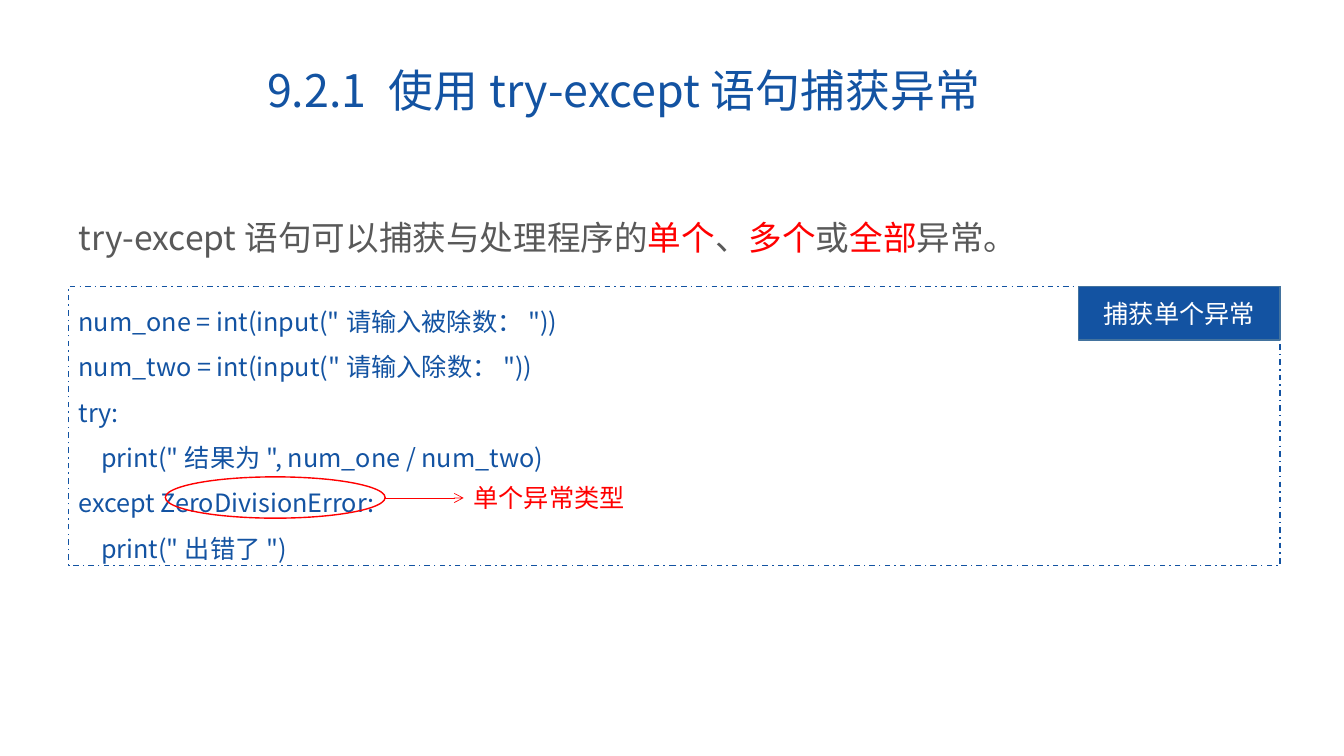
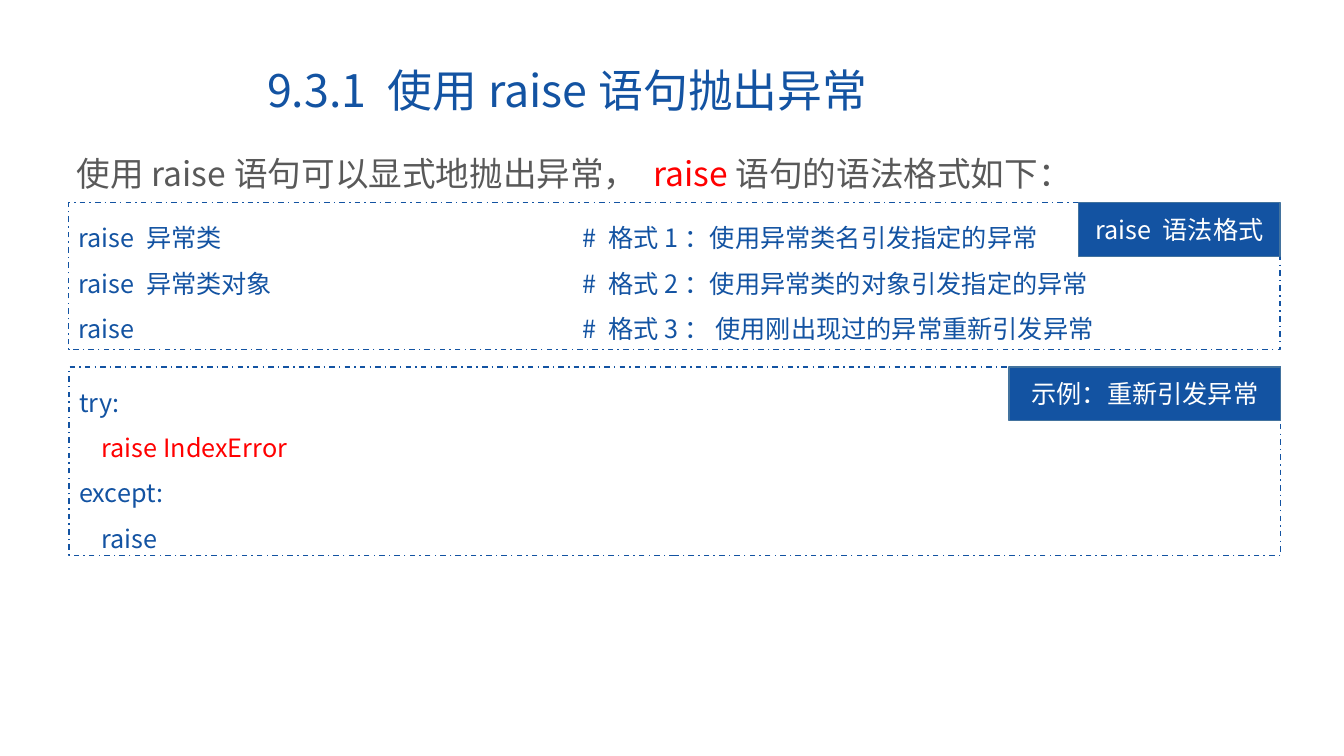
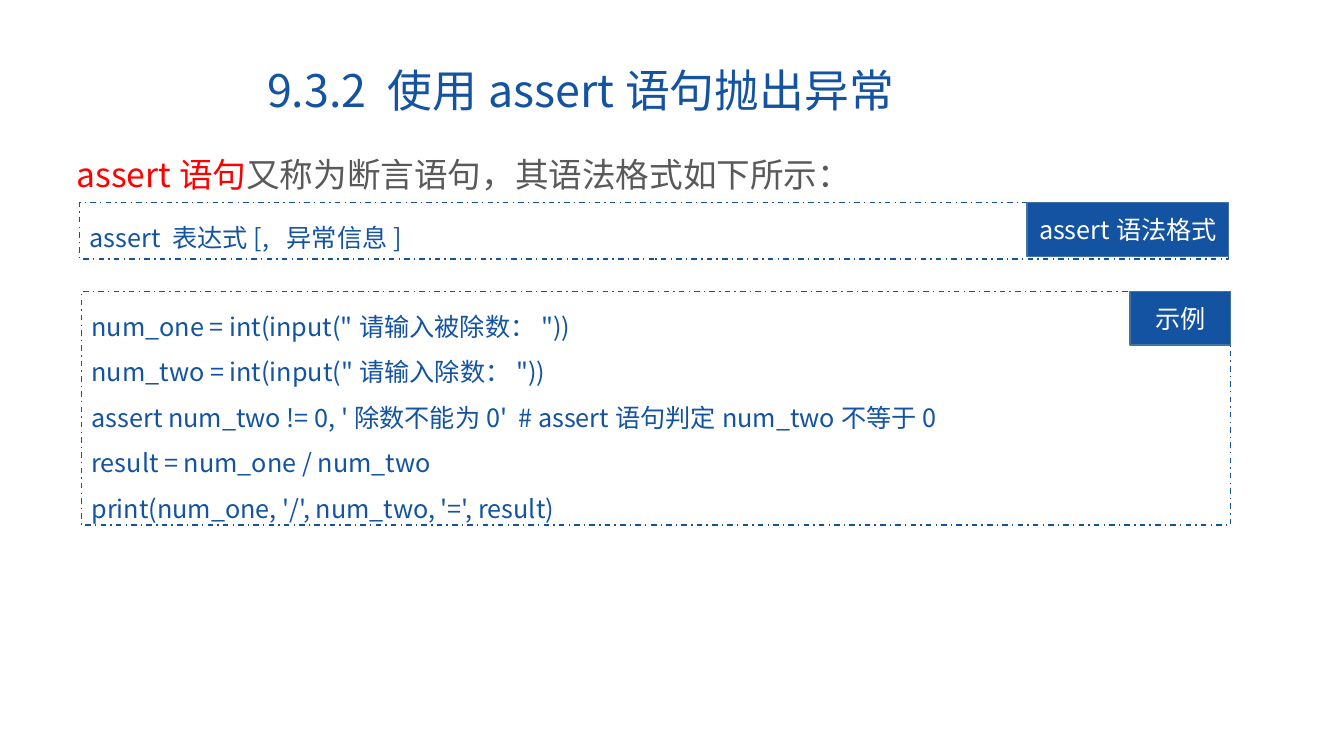
from dataclasses import dataclass

from lxml import etree
from pptx import Presentation
from pptx.dml.color import RGBColor
from pptx.enum.dml import MSO_LINE
from pptx.enum.shapes import MSO_CONNECTOR, MSO_SHAPE
from pptx.enum.text import MSO_ANCHOR, MSO_AUTO_SIZE, PP_ALIGN
from pptx.oxml.ns import qn
from pptx.util import Pt

RECT, OVAL = MSO_SHAPE.RECTANGLE, MSO_SHAPE.OVAL
STRAIGHT = MSO_CONNECTOR.STRAIGHT
DASH = MSO_LINE.DASH_DOT
TOP, MIDDLE = MSO_ANCHOR.TOP, MSO_ANCHOR.MIDDLE
LEFT, CENTER = PP_ALIGN.LEFT, PP_ALIGN.CENTER
GROW, FIXED = MSO_AUTO_SIZE.SHAPE_TO_FIT_TEXT, MSO_AUTO_SIZE.NONE


@dataclass(frozen=True)
class Theme:
    """Colours, font and type sizes of the deck."""
    blue: str = "1353A2"
    edge: str = "43739E"
    grey: str = "595959"
    red: str = "FF0000"
    white: str = "FFFFFF"
    font: str = "Noto Sans CJK SC"
    head: int = 32
    lead: int = 24
    code: int = 18


THEME = Theme()


def pts(*nums):
    """Turn numbers into point lengths."""
    return [Pt(num) for num in nums]


def rgb(code):
    """Turn a hex code into a colour."""
    return RGBColor.from_string(code)


def write(shape, text, size=THEME.code, color=THEME.blue, align=LEFT,
          anchor=TOP, space=1.0, fit=GROW, stop=None):
    """Fill a shape with lines of text, parts between bars in red."""
    frame = shape.text_frame
    frame.word_wrap = True
    frame.auto_size = fit
    frame.vertical_anchor = anchor
    for row, line in enumerate(text.split("\n")):
        para = frame.add_paragraph() if row else frame.paragraphs[0]
        para.alignment = align
        para.line_spacing = space
        if stop:
            tabs = etree.SubElement(para._p.get_or_add_pPr(), qn("a:tabLst"))
            etree.SubElement(tabs, qn("a:tab"), pos=str(Pt(stop)), algn="l")
        for turn, part in enumerate(line.split("|")):
            if part:
                run = para.add_run()
                run.text = part
                run.font.size = Pt(size)
                run.font.name = THEME.font
                run.font.color.rgb = rgb(THEME.red if turn % 2 else color)
                etree.SubElement(run._r.get_or_add_rPr(), qn("a:ea"),
                                 typeface=THEME.font)


def draw(shapes, kind, box, line, fill=None, dash=None):
    """Add a preset shape with a thin outline."""
    shape = shapes.add_shape(kind, *pts(*box))
    shape.shadow.inherit = False
    if fill:
        shape.fill.solid()
        shape.fill.fore_color.rgb = rgb(fill)
    else:
        shape.fill.background()
    shape.line.color.rgb = rgb(line)
    shape.line.width = Pt(1)
    if dash:
        shape.line.dash_style = dash
    return shape


def label(slide, text, box, **style):
    """Add a text box."""
    shape = slide.shapes.add_textbox(*pts(*box))
    write(shape, text, **style)
    return shape


def panel(slide, text, tag, box, wide=144, stop=None):
    """Add a dashed code panel with a tag in its top right corner."""
    left, top, width, _ = box
    shapes = slide.shapes.add_group_shape().shapes
    write(draw(shapes, RECT, box, THEME.blue, dash=DASH), text,
          space=1.5, stop=stop)
    place = (left + width - wide, top, wide, 38.4)
    write(draw(shapes, RECT, place, THEME.edge, fill=THEME.blue), tag,
          color=THEME.white, align=CENTER, anchor=MIDDLE, fit=FIXED)


def arrow(slide, start, goal):
    """Draw a red arrow from a point to the left side of a shape."""
    link = slide.shapes.add_connector(STRAIGHT, *pts(*start, *start))
    link.end_connect(goal, 1)
    link.line.color.rgb = rgb(THEME.red)
    link.line.width = Pt(0.5)
    props = link._element.spPr
    etree.SubElement(props.find(qn("a:ln")), qn("a:tailEnd"), type="arrow")
    etree.SubElement(props, qn("a:effectLst"))


def page(deck, title, lead, left, top):
    """Add a slide with its title and lead sentence."""
    slide = deck.slides.add_slide(deck.slide_layouts[5])
    write(slide.shapes.title, title, size=THEME.head, anchor=MIDDLE, space=0.9)
    label(slide, lead, (left, top, 865, 46), size=THEME.lead,
          color=THEME.grey, space=1.5)
    return slide


def catch(deck):
    """Build the try-except slide."""
    slide = page(deck, "9.2.1\t 使用try-except语句捕获异常",
                 "try-except语句可以捕获与处理程序的|单个|、|多个|或|全部|异常。",
                 49, 136.8)
    panel(slide, 'num_one = int(input("请输入被除数："))\n'
                 'num_two = int(input("请输入除数："))\n'
                 'try:\n'
                 '    print("结果为", num_one / num_two)\n'
                 'except ZeroDivisionError:\n'
                 '    print("出错了")',
          "捕获单个异常", (49, 204.5, 865.4, 199.4))
    note = label(slide, "|单个异常类型|", (331.2, 341.2, 126, 29))
    draw(slide.shapes, OVAL, (118.1, 340.6, 157, 29.5), THEME.red)
    arrow(slide, (275.1, 355.7), note)


def throw(deck):
    """Build the raise slide."""
    slide = page(deck, "9.3.1 使用raise语句抛出异常",
                 "使用raise语句可以显式地抛出异常， |raise|语句的语法格式如下：",
                 47.5, 91.4)
    panel(slide, "raise 异常类\t# 格式1：使用异常类名引发指定的异常\n"
                 "raise 异常类对象\t# 格式2：使用异常类的对象引发指定的异常\n"
                 "raise\t# 格式3： 使用刚出现过的异常重新引发异常",
          "raise 语法格式", (49, 144.7, 865.4, 105.1), stop=360)
    panel(slide, "try:\n|    raise IndexError|\nexcept:\n    raise",
          "示例：重新引发异常", (49.4, 262.1, 865.4, 134.6), wide=194)


def check(deck):
    """Build the assert slide."""
    slide = page(deck, "9.3.2 使用assert语句抛出异常",
                 "|assert语句|又称为断言语句，其语法格式如下所示：", 47.5, 92.2)
    panel(slide, "assert 表达式[,  异常信息]", "assert语法格式",
          (56.9, 144.7, 820.8, 40.3))
    panel(slide, 'num_one = int(input("请输入被除数："))\n'
                 'num_two = int(input("请输入除数："))\n'
                 "assert num_two != 0, '除数不能为0'  # assert语句判定num_two不等于0\n"
                 "result = num_one / num_two\n"
                 "print(num_one, '/', num_two, '=', result)",
          "示例", (58.3, 208.1, 820.8, 167), wide=72)


def main():
    """Build and save the deck."""
    deck = Presentation()
    deck.slide_width, deck.slide_height = pts(960, 540)
    head = deck.slide_layouts[5].placeholders[0]
    head.left, head.top, head.width, head.height = pts(183.6, 45.4, 658, 42.5)
    catch(deck)
    throw(deck)
    check(deck)
    deck.save("out.pptx")


if __name__ == "__main__":
    main()
